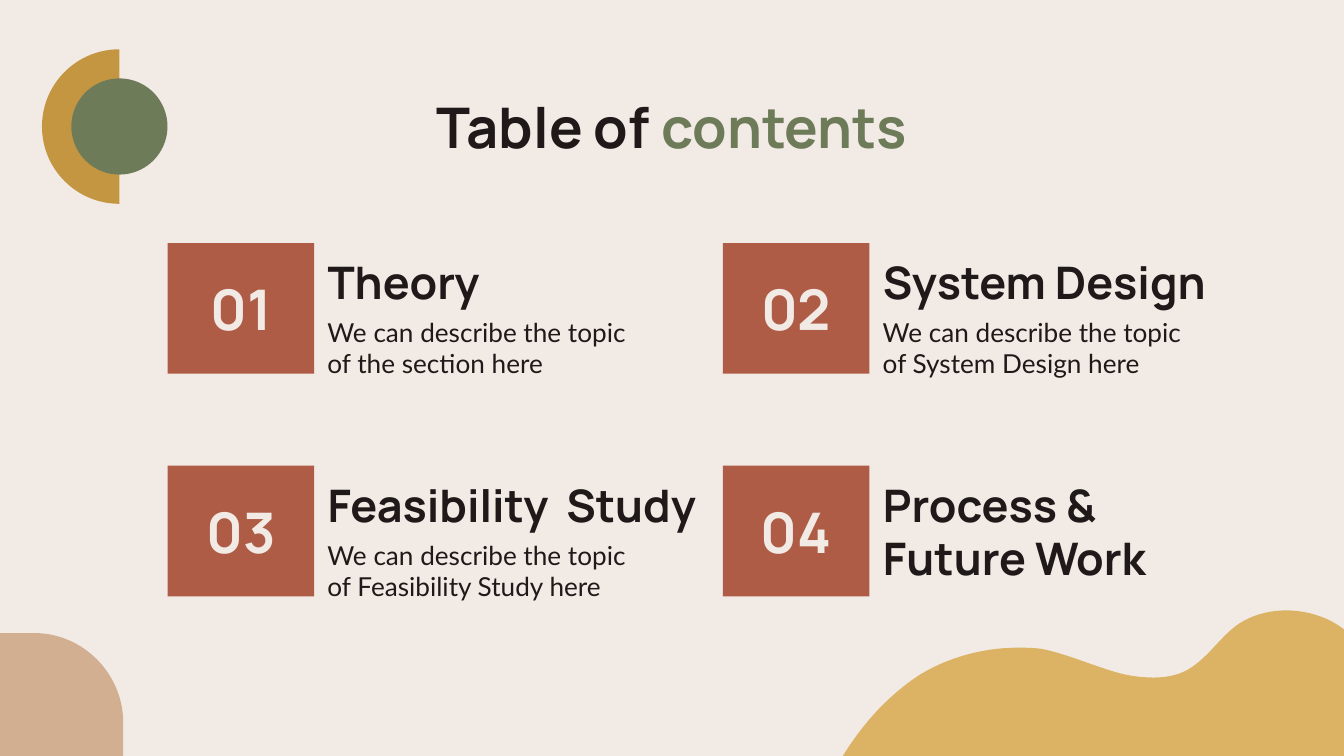
from dataclasses import dataclass

from lxml import etree
from pptx import Presentation
from pptx.dml.color import RGBColor
from pptx.enum import shapes, text
from pptx.oxml.ns import qn
from pptx.util import Pt

CREAM = RGBColor(0xF1, 0xEA, 0xE5)
INK = RGBColor(0x1F, 0x19, 0x1A)
GREEN = RGBColor(0x6E, 0x7B, 0x59)
RUST = RGBColor(0xAF, 0x5C, 0x46)
TAN = RGBColor(0xD3, 0xAF, 0x92)
GOLD = RGBColor(0xDC, 0xB3, 0x64)
OCHRE = RGBColor(0xC5, 0x96, 0x42)

HEADING_FONT, BODY_FONT = "Manrope", "Lato"
LEFT, TOP = 89.8, 130.2
COLUMN_STEP, ROW_STEP = 297.5, 119.3
TILE_WIDTH, TILE_HEIGHT = 78.5, 70

Point = tuple[float, float]


@dataclass
class Section:
    heading: str
    description: str = ""
    heading_width: float = 190
    heading_top: float = 8
    heading_height: float = 34.5


@dataclass
class Outline:
    """A start point, then segments: one point for a line, three for a cubic curve."""
    colour: RGBColor
    start: Point
    segments: list[list[Point]]


SECTIONS = [
    Section("Theory", "We can describe the topic of the section here"),
    Section("System Design", "We can describe the topic of System Design here", 204),
    Section("Feasibility  Study", "We can describe the topic of Feasibility Study here", 233),
    Section("Process &\nFuture Work", heading_top=1, heading_height=70),
]

CORNER = Outline(TAN, (66, 387), [
    [(66, 361), (44.5, 339.2), (18.5, 339.2)], [(-0.7, 339.2)], [(-0.7, 405.8)], [(66, 405.8)],
])
WAVE = Outline(GOLD, (689, 327), [
    [(703, 327), (717, 332.5), (725, 342)], [(723, 410)],
    [(710, 410), (697.5, 410), (685, 410)],
    [(618, 410), (551.5, 411), (484.5, 411)],
    [(472.5, 411), (460, 411), (448, 411)],
    [(458.5, 392.5), (472.5, 375), (492, 362)],
    [(507, 352.5), (526.5, 347), (545, 347)],
    [(551, 347), (556.5, 347), (562, 348.5)],
    [(574, 351.5), (585.5, 356.5), (597.5, 360)],
    [(604, 362), (611.5, 363), (618, 363)],
    [(624, 363), (630, 362), (635, 359.5)],
    [(646.5, 353.5), (652.5, 342.5), (662.5, 335)],
    [(669.5, 330), (679, 327), (689, 327)],
])
HALF_DISC = Outline(OCHRE, (64, 26.4), [
    [(64, 109.2)],
    [(41, 109.2), (22.5, 90.6), (22.5, 67.8)],
    [(22.5, 45), (41, 26.4), (64, 26.4)],
])


def paint(shape, colour: RGBColor) -> None:
    shape.shadow.inherit = False
    shape.fill.solid()
    shape.fill.fore_color.rgb = colour
    shape.line.fill.background()


def draw_outline(container, outline: Outline) -> None:
    """Build a polygon through every point, then join each triple into one cubic curve."""
    points = [outline.start] + [point for segment in outline.segments for point in segment]
    first, *rest = [(Pt(x), Pt(y)) for x, y in points]
    builder = container.build_freeform(*first)
    builder.add_line_segments(rest)
    shape = builder.convert_to_shape()
    lines = iter(list(shape._element.iter(qn("a:lnTo"))))
    for segment in outline.segments:
        parts = [next(lines) for _ in segment]
        if len(parts) == 3:
            curve = etree.Element(qn("a:cubicBezTo"))
            parts[0].addprevious(curve)
            for part in parts:
                curve.append(part[0])
                part.getparent().remove(part)
    paint(shape, outline.colour)


def place(shape, left: float, top: float, width: float, height: float) -> None:
    shape.left, shape.top, shape.width, shape.height = map(Pt, (left, top, width, height))


def write(shape, words: str, font: str, size: float, colour: RGBColor,
          bold: bool = True, align=text.PP_ALIGN.LEFT, anchor=text.MSO_ANCHOR.TOP) -> None:
    frame = shape.text_frame
    frame.auto_size = text.MSO_AUTO_SIZE.NONE
    frame.word_wrap = True
    frame.vertical_anchor = anchor
    frame.margin_left = frame.margin_right = frame.margin_top = frame.margin_bottom = Pt(7.2)
    paragraph = frame.paragraphs[0]
    paragraph.text = words
    paragraph.alignment = align
    paragraph.space_before = Pt(0)
    for run in paragraph.runs:
        style(run, font, size, colour, bold)


def style(run, font: str, size: float, colour: RGBColor, bold: bool) -> None:
    run.font.name, run.font.size, run.font.bold = font, Pt(size), bold
    run.font.color.rgb = colour


def remove_bullet(paragraph) -> None:
    properties = paragraph._p.get_or_add_pPr()
    properties.set("marL", "0")
    properties.set("indent", "0")
    etree.SubElement(properties, qn("a:buNone"))


def draw_section(slide, section: Section, index: int, heading) -> None:
    row, column = divmod(index, 2)
    left, top = LEFT + column * COLUMN_STEP, TOP + row * ROW_STEP
    text_left = left + TILE_WIDTH

    tile = slide.shapes.add_shape(shapes.MSO_SHAPE.RECTANGLE, Pt(left), Pt(top),
                                  Pt(TILE_WIDTH), Pt(TILE_HEIGHT))
    paint(tile, RUST)
    write(tile, f"{index + 1:02}", HEADING_FONT, 30, CREAM,
          align=text.PP_ALIGN.CENTER, anchor=text.MSO_ANCHOR.MIDDLE)

    place(heading, text_left, top + section.heading_top,
          section.heading_width, section.heading_height)
    remove_bullet(heading.text_frame.paragraphs[0])
    write(heading, section.heading, HEADING_FONT, 24, INK, anchor=text.MSO_ANCHOR.BOTTOM)

    if section.description:
        description = slide.shapes.add_textbox(Pt(text_left), Pt(top + 32), Pt(190), Pt(40))
        write(description, section.description, BODY_FONT, 14, INK, bold=False)


def main() -> None:
    deck = Presentation()
    deck.slide_width, deck.slide_height = Pt(720), Pt(405)
    comparison_layout = deck.slide_layouts[4]
    slide = deck.slides.add_slide(comparison_layout)
    slide.background.fill.solid()
    slide.background.fill.fore_color.rgb = CREAM

    title, *headings = slide.placeholders
    for outline in (CORNER, WAVE):
        draw_outline(slide.shapes, outline)

    place(title, 153.5, 42.5, 413, 37.5)
    write(title, "Table of ", HEADING_FONT, 30, INK, align=text.PP_ALIGN.CENTER)
    accent = title.text_frame.paragraphs[0].add_run()
    accent.text = "contents"
    style(accent, HEADING_FONT, 30, GREEN, True)

    for index, (section, heading) in enumerate(zip(SECTIONS, headings)):
        draw_section(slide, section, index, heading)

    ornament = slide.shapes.add_group_shape().shapes
    draw_outline(ornament, HALF_DISC)
    disc = ornament.add_shape(shapes.MSO_SHAPE.OVAL, Pt(38.2), Pt(42), Pt(51.5), Pt(51.5))
    paint(disc, GREEN)

    deck.save("out.pptx")


if __name__ == "__main__":
    main()
